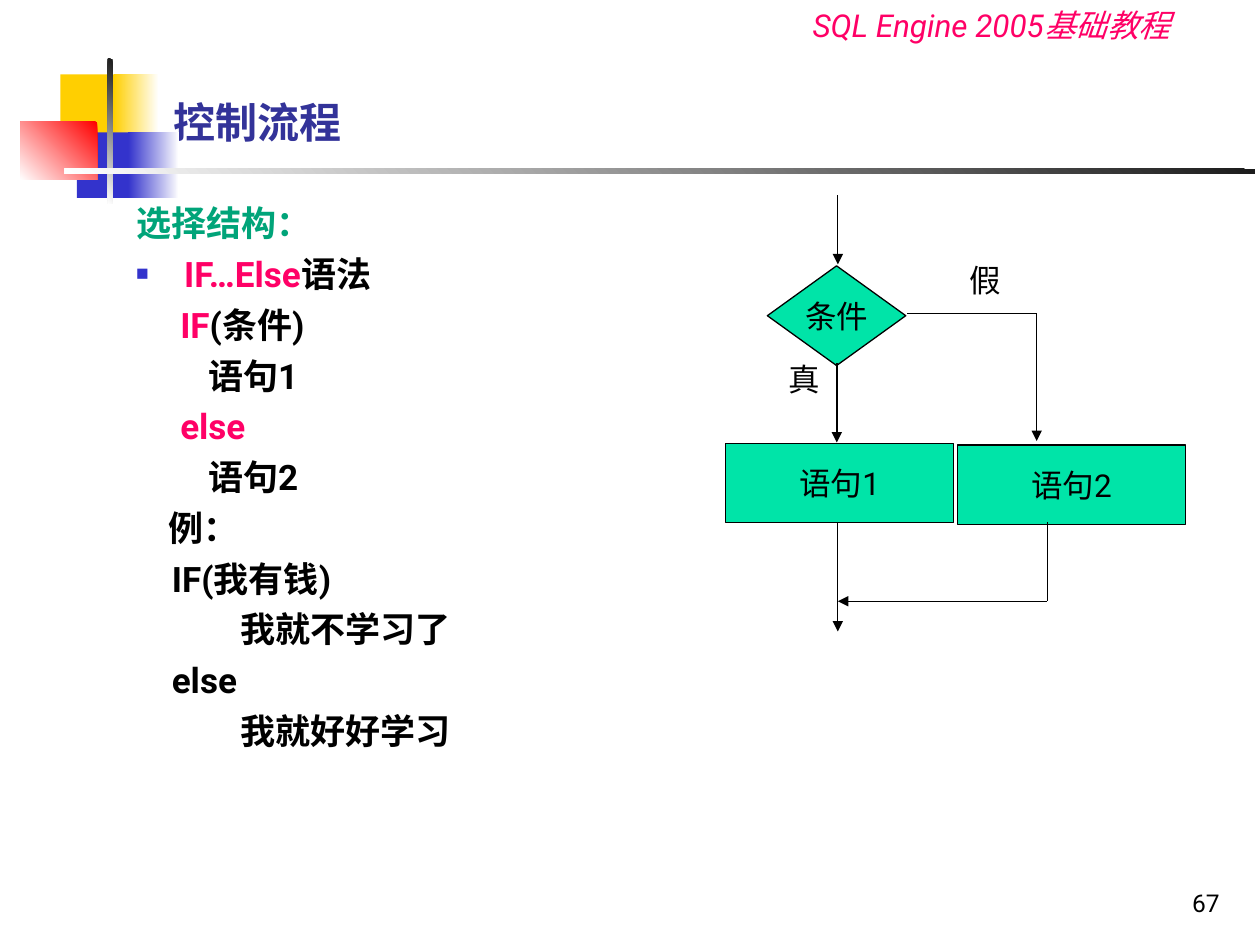
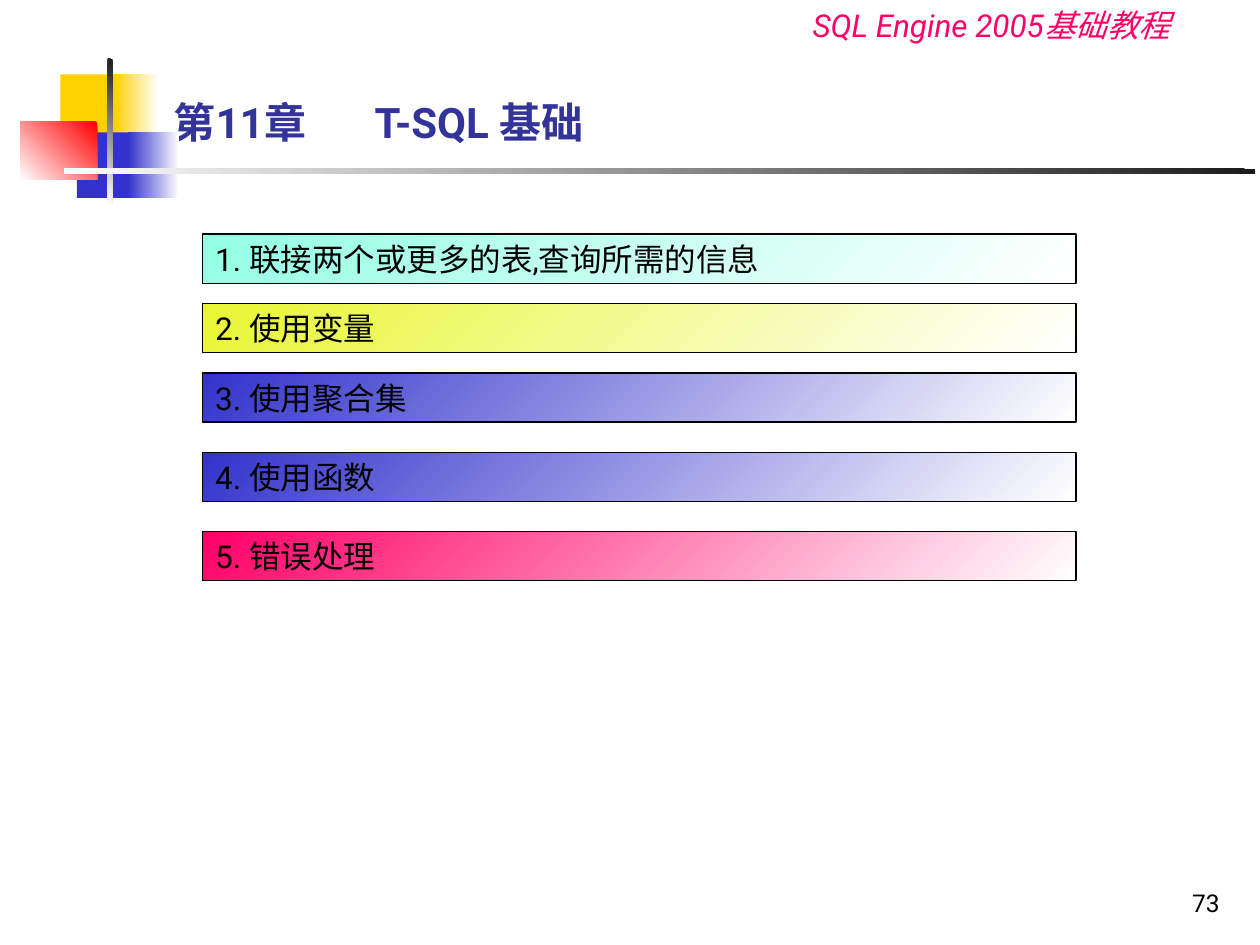
from lxml.etree import SubElement as Sub
from pptx import Presentation
from pptx.dml.color import RGBColor as RGB
from pptx.enum.lang import MSO_LANGUAGE_ID as Lang
from pptx.enum.shapes import MSO_CONNECTOR as Link, MSO_SHAPE as Form
from pptx.enum.text import MSO_ANCHOR as Anchor, MSO_AUTO_SIZE as Fit, PP_ALIGN as Align
from pptx.oxml.ns import qn
from pptx.util import Cm, Pt

WHITE = RGB(0xFF, 0xFF, 0xFF)
PAPER = RGB(0xFE, 0xFE, 0xFE)
BLACK = RGB(0x00, 0x00, 0x00)
COAL = RGB(0x1C, 0x1C, 0x1C)
GOLD = RGB(0xFF, 0xCF, 0x01)
BLUE = RGB(0x33, 0x33, 0xCC)
NAVY = RGB(0x33, 0x33, 0x99)
RED = RGB(0xFF, 0x00, 0x00)
PINK = RGB(0xFF, 0x00, 0x66)
GREEN = RGB(0x00, 0xA4, 0x79)
JADE = RGB(0x00, 0xE4, 0xA8)
MINT = RGB(0x93, 0xFF, 0xE3)
LIME = RGB(0xE8, 0xF6, 0x32)

BASE = {"name": "Roboto", "size": Pt(18), "bold": False, "italic": False,
        "language_id": Lang.SIMPLIFIED_CHINESE}
HEAD = {"size": Pt(24), "bold": True}
LIST = {"size": Pt(20), "bold": True}

LOGO = [
    ((1.22, 1.5, 1.22, 1.32), (GOLD,)),
    ((2.29, 1.5, 0.91, 1.32), (WHITE, GOLD, 180)),
    ((1.55, 2.67, 1.17, 1.32), (BLUE,)),
    ((2.59, 2.67, 1.02, 1.32), (WHITE, BLUE, 180)),
    ((0.41, 2.46, 1.55, 1.17), (RED, WHITE, 135)),
    ((2.17, 1.19, 0.1, 2.92), (COAL, WHITE, 135)),
    ((1.3, 3.4, 24, 0.1), (COAL, WHITE, 135)),
]

LINES = [
    (0, [("选择结构：", GREEN)]),
    (None, [("IF…Else", PINK), ("语法", BLACK)]),
    (0.89, [("IF", PINK), ("(条件)", BLACK)]),
    (1.45, [("语句1", BLACK)]),
    (0.89, [("else", PINK)]),
    (1.45, [("语句2", BLACK)]),
    (0.65, [("例：", BLACK)]),
    (0.72, [("IF(我有钱)", BLACK)]),
    (2.1, [("我就不学习了", BLACK)]),
    (0.72, [("else", BLACK)]),
    (2.1, [("我就好好学习", BLACK)]),
]

NODES = [
    (Form.DIAMOND, (15.47, 5.36, 2.79, 2.01), "条件"),
    (Form.RECTANGLE, (14.63, 8.94, 4.6, 1.6), "语句1"),
    (Form.RECTANGLE, (19.3, 8.97, 4.6, 1.6), "语句2"),
]

FLOWS = [
    [(16.89, 3.94), (16.89, 5.33)],
    [(16.87, 7.32), (16.87, 8.92)],
    [(18.29, 6.32), (20.9, 6.32), (20.9, 8.89)],
    [(16.89, 10.52), (16.89, 12.73)],
    [(21.11, 10.52), (21.11, 12.12), (16.89, 12.12)],
]

TOPICS = [
    (4.72, MINT, "1. 联接两个或更多的表,查询所需的信息"),
    (6.12, LIME, "2. 使用变量"),
    (7.52, BLUE, "3. 使用聚合集"),
    (9.12, BLUE, "4. 使用函数"),
    (10.72, PINK, "5. 错误处理"),
]


def put(thing, vals):
    for key, val in vals.items():
        setattr(thing, key, val)


def paint(fill, first, last=None, angle=0):
    if last is None:
        fill.solid()
        fill.fore_color.rgb = first
        return
    fill.gradient()
    fill.gradient_angle = 360 - angle
    for stop, tone in zip(fill.gradient_stops, (first, last)):
        stop.color.rgb = tone


class Deck:
    def __init__(self):
        self.show = Presentation()
        put(self.show, {"slide_width": Cm(25.4), "slide_height": Cm(19.05)})
        paint(self.show.slide_master.background.fill, WHITE, PAPER, 90)
        self.slide = None

    def place(self, shape, box):
        put(shape, dict(zip(("left", "top", "width", "height"), map(Cm, box))))

    def piece(self, para, text, tone, **style):
        run = para.add_run()
        run.text = text
        put(run.font, BASE | style)
        run.font.color.rgb = tone

    def words(self, shape, text, tone=BLACK, align=Align.LEFT,
              anchor=Anchor.TOP, wrap=False, **style):
        frame = shape.text_frame
        put(frame, {"word_wrap": wrap, "vertical_anchor": anchor, "auto_size": Fit.NONE})
        para = frame.paragraphs[0]
        para.alignment = align
        self.piece(para, text, tone, **style)
        return para

    def label(self, box, text, **style):
        self.words(self.slide.shapes.add_textbox(*map(Cm, box)), text, **style)

    def block(self, box, fill, text=None, form=Form.RECTANGLE, align=Align.LEFT):
        shape = self.slide.shapes.add_shape(form, *map(Cm, box))
        shape.shadow.inherit = False
        paint(shape.fill, *fill)
        if text is None:
            shape.line.fill.background()
            return
        shape.line.color.rgb = BLACK
        shape.line.width = Pt(0.75)
        self.words(shape, text, align=align, anchor=Anchor.MIDDLE)

    def flow(self, points):
        for start, end in zip(points, points[1:]):
            line = self.slide.shapes.add_connector(Link.STRAIGHT, *map(Cm, start + end))
            line.line.color.rgb = BLACK
            line.line.width = Pt(0.75)
            props = line.element.spPr
            if end == points[-1]:
                Sub(props.find(qn("a:ln")), qn("a:tailEnd"), type="triangle")
            Sub(props, qn("a:effectLst"))

    def start(self, layout, title, page, tab=None):
        self.slide = self.show.slides.add_slide(self.show.slide_layouts[layout])
        for box, fill in LOGO:
            self.block(box, fill)
        self.label((16.13, 0, 7.98, 1.02), "SQL Engine 2005基础教程", tone=PINK, italic=True)
        head = self.slide.shapes.title
        self.place(head, (3.25, 1.57, 21.64, 1.52))
        para = self.words(head, title, NAVY, anchor=Anchor.BOTTOM, wrap=True, **HEAD)
        if tab:
            tabs = Sub(para._p.get_or_add_pPr(), qn("a:tabLst"))
            Sub(tabs, qn("a:tab"), pos=str(Cm(tab)), algn="l")
        self.label((19.56, 17.35, 5.28, 1.27), page, align=Align.RIGHT,
                   anchor=Anchor.BOTTOM, wrap=True, size=Pt(14))

    def mark(self, para, indent):
        props = para._p.get_or_add_pPr()
        if indent is not None:
            props.set("marL", str(Cm(indent)))
            props.set("indent", "0")
            Sub(props, qn("a:buNone"))
            return
        props.set("marL", str(Cm(0.97)))
        props.set("indent", str(-Cm(0.97)))
        Sub(Sub(props, qn("a:buClr")), qn("a:srgbClr"), val=str(BLUE))
        Sub(props, qn("a:buSzPct"), val="60000")
        Sub(props, qn("a:buChar"), char="■")

    def items(self, box, lines):
        body = self.slide.placeholders[1]
        self.place(body, box)
        frame = body.text_frame
        put(frame, {"word_wrap": True, "auto_size": Fit.NONE})
        for i, (indent, parts) in enumerate(lines):
            para = frame.add_paragraph() if i else frame.paragraphs[0]
            self.mark(para, indent)
            para.space_before = Pt(5 if i else 0)
            for text, tone in parts:
                self.piece(para, text, tone, **LIST)


def main():
    deck = Deck()

    deck.start(1, "控制流程", "67")
    deck.items((2.49, 3.94, 9.6, 13.11), LINES)
    for form, box, text in NODES:
        deck.block(box, (JADE,), text, form, Align.CENTER)
    for points in FLOWS:
        deck.flow(points)
    deck.label((15.65, 7.14, 1.14, 1.02), "真")
    deck.label((19.3, 5.13, 1.14, 1.02), "假")

    deck.start(5, "第11章\tT-SQL 基础", "73", tab=4.05)
    for top, tone, text in TOPICS:
        deck.block((4.09, top, 17.6, 0.99), (WHITE, tone, 225), text)

    deck.show.save("out.pptx")


if __name__ == "__main__":
    main()
